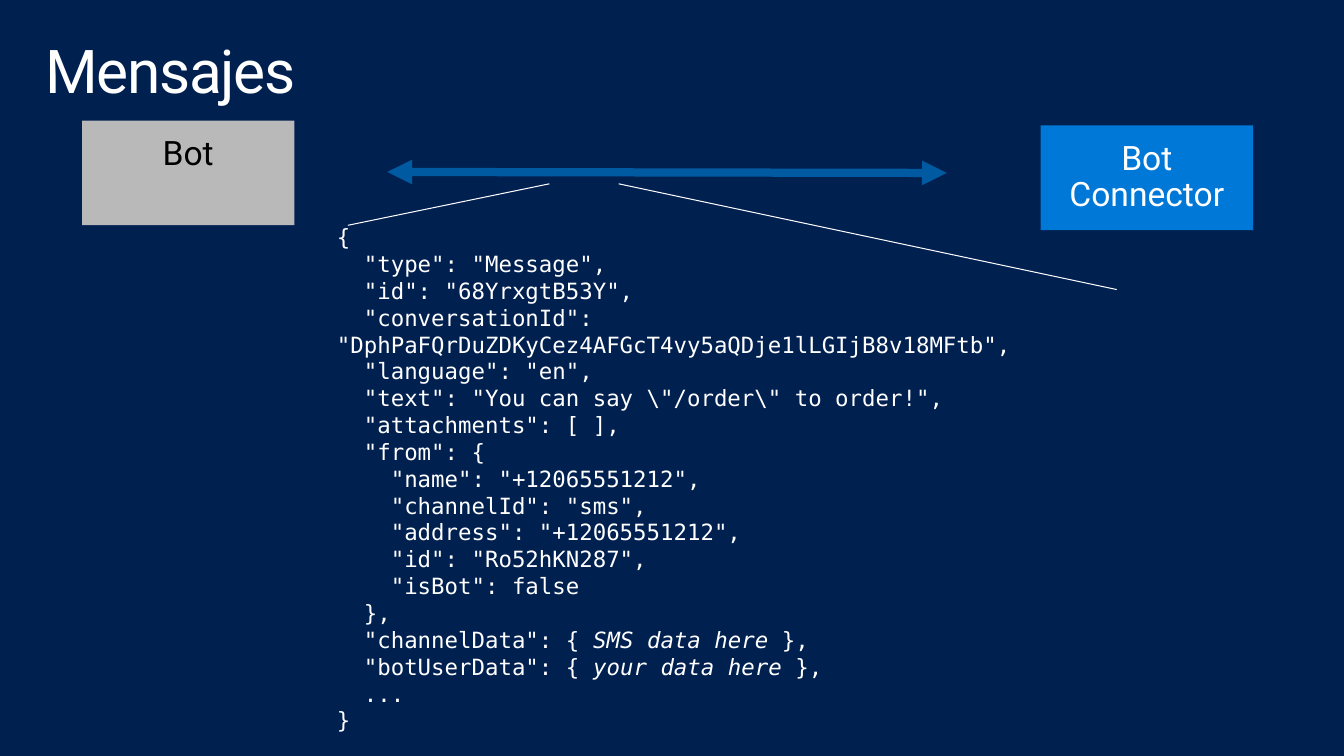
from lxml.etree import SubElement
from pptx import Presentation
from pptx.dml.color import RGBColor
from pptx.enum.shapes import MSO_CONNECTOR, MSO_SHAPE
from pptx.enum.text import MSO_ANCHOR, MSO_AUTO_SIZE, PP_ALIGN
from pptx.oxml.ns import qn
from pptx.util import Inches, Pt

TITLE = "Mensajes"
SANS, MONO = "Roboto", "DejaVu Sans Mono"
NAVY, WHITE, BLACK = "002050", "FFFFFF", "000000"
BOXES = [
    ("Bot", 0.83, 1.22, "B9B9B9", BLACK),
    ("Bot Connector", 10.53, 1.27, "0078D7", WHITE),
]
LINES = [
    ((3.92, 1.74), (9.58, 1.75), "005AA1", 6, True),
    ((5.56, 1.86), (3.52, 2.28), WHITE, 0.75, False),
    ((6.26, 1.86), (11.3, 2.93), WHITE, 0.75, False),
]
MESSAGE = [
    ["{"],
    ['  "type": "Message",'],
    ['  "id": "68YrxgtB53Y",'],
    ['  "conversationId": "DphPaFQrDuZDKyCez4AFGcT4vy5aQDje1lLGIjB8v18MFtb",'],
    ['  "language": "en",'],
    [r'  "text": "You can say \"/order\" to order!",'],
    ['  "attachments": [ ],'],
    ['  "from": {'],
    ['    "name": "+12065551212",'],
    ['    "channelId": "sms",'],
    ['    "address": "+12065551212",'],
    ['    "id": "Ro52hKN287",'],
    ['    "isBot": false'],
    ["  },"],
    ['  "channelData": { ', "SMS data here", " },"],
    ['  "botUserData": { ', "your data here", " },"],
    ["  ..."],
    ["}"],
]


def color(value):
    return RGBColor.from_string(value)


def style(font, name, size, value):
    font.name = name
    font.size = Pt(size)
    font.color.rgb = color(value)


def set_frame(frame, side, top):
    frame.word_wrap = True
    frame.auto_size = MSO_AUTO_SIZE.NONE
    frame.vertical_anchor = MSO_ANCHOR.TOP
    frame.margin_left = frame.margin_right = Inches(side)
    frame.margin_top = frame.margin_bottom = Inches(top)


def add_title(page):
    title = page.shapes.title
    title.left, title.top = Inches(0.3), Inches(0.32)
    title.width, title.height = Inches(13), Inches(1)
    title.text_frame.text = TITLE
    set_frame(title.text_frame, 0.16, 0.1)
    para = title.text_frame.paragraphs[0]
    para.alignment = PP_ALIGN.LEFT
    para.line_spacing = 0.9
    span = para.runs[0]
    style(span.font, SANS, 44, WHITE)
    span.font._element.set("spc", "-100")


def add_box(page, label, left, top, fill, ink):
    box = page.shapes.add_shape(
        MSO_SHAPE.RECTANGLE, Inches(left), Inches(top), Inches(2.15), Inches(1.06))
    box.shadow.inherit = False
    box.fill.solid()
    box.fill.fore_color.rgb = color(fill)
    box.line.fill.background()
    box.text_frame.text = label
    set_frame(box.text_frame, 0.2, 0.16)
    para = box.text_frame.paragraphs[0]
    para.alignment = PP_ALIGN.CENTER
    para.line_spacing = 0.9
    style(para.runs[0].font, SANS, 24.5, ink)


def add_line(page, start, end, stroke, weight, arrows):
    line = page.shapes.add_connector(
        MSO_CONNECTOR.STRAIGHT, *map(Inches, start + end))
    line.line.color.rgb = color(stroke)
    line.line.width = Pt(weight)
    properties = line._element.spPr
    SubElement(properties, qn("a:effectLst"))
    if arrows:
        outline = properties.find(qn("a:ln"))
        for tag in ("a:headEnd", "a:tailEnd"):
            SubElement(outline, qn(tag), type="triangle")


def add_message(page):
    box = page.shapes.add_textbox(
        Inches(3.21), Inches(2.1), Inches(9.86), Inches(5.37))
    frame = box.text_frame
    set_frame(frame, 0.2, 0.16)
    for index, parts in enumerate(MESSAGE):
        para = frame.add_paragraph() if index else frame.paragraphs[0]
        for position, part in enumerate(parts):
            span = para.add_run()
            span.text = part
            style(span.font, MONO, 16.3, WHITE)
            span.font.italic = position == 1


def main():
    deck = Presentation()
    deck.slide_width, deck.slide_height = Inches(13.6), Inches(7.65)
    page = deck.slides.add_slide(deck.slide_layouts[5])
    page.background.fill.solid()
    page.background.fill.fore_color.rgb = color(NAVY)
    add_title(page)
    for box in BOXES:
        add_box(page, *box)
    add_message(page)
    for line in LINES:
        add_line(page, *line)
    deck.save("out.pptx")


if __name__ == "__main__":
    main()
